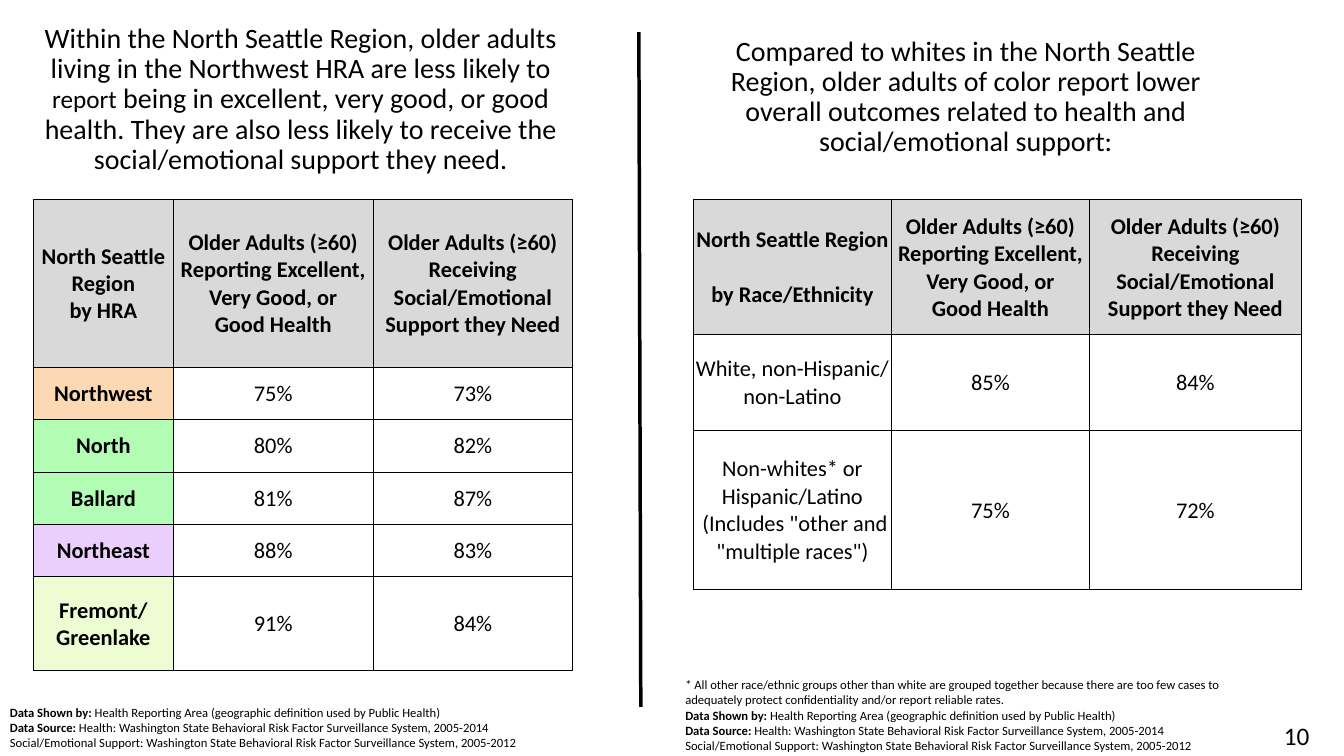
"""Build the slide on health and support of older adults in the North Seattle Region."""
import pptx
import pptx.dml.color
import pptx.enum.shapes
import pptx.enum.text
import pptx.oxml.ns
import pptx.util
from lxml import etree

Cm, Pt, qn = pptx.util.Cm, pptx.util.Pt, pptx.oxml.ns.qn
ALIGN, ANCHOR = pptx.enum.text.PP_ALIGN, pptx.enum.text.MSO_ANCHOR


def color(value):
    """Return the colour for a hex string."""
    return pptx.dml.color.RGBColor.from_string(value)


def write(frame, paragraphs, size, **formats):
    """Fill a text frame; each paragraph is a list of (text, font changes)."""
    frame.word_wrap = True
    for number, spans in enumerate(paragraphs):
        para = frame.paragraphs[0] if number == 0 else frame.add_paragraph()
        for name, value in formats.items():
            setattr(para, name, value)
        for text, changes in spans:
            for index, line in enumerate(text.split("\n")):
                if index:
                    para.add_line_break()
                    line_break = para._p.findall(qn("a:br"))[-1]
                    etree.SubElement(line_break, qn("a:rPr"), sz=str(size * 100))
                span = para.add_run()
                span.text = line
                span.font.color.rgb = color("000000")
                look = {"name": "Calibri", "size": Pt(size), "bold": False} | changes
                for name, value in look.items():
                    setattr(span.font, name, value)


deck = pptx.Presentation()
deck.slide_width, deck.slide_height = Cm(33.87), Cm(19.05)
page = deck.slides.add_slide(deck.slide_layouts[5])
BOLD = {"bold": True}

title = page.shapes.title
title.left, title.top, title.width, title.height = Cm(0.76), Cm(0.48), Cm(13.64), Cm(4.11)
title.text_frame.vertical_anchor = ANCHOR.TOP
title.text_frame.auto_size = pptx.enum.text.MSO_AUTO_SIZE.NONE
write(title.text_frame, [[
    ("Within the North Seattle Region, older adults living in the Northwest HRA "
     "are less likely to ", {}),
    ("report", {"size": Pt(18)}),
    (" being in excellent, very good, or good health. They are also less likely "
     "to receive the social/emotional support they need.", {}),
]], 20, alignment=ALIGN.CENTER, line_spacing=0.9)

race_heading = [[("Compared to whites in the North Seattle Region, older adults of color "
                  "report lower overall outcomes related to health and "
                  "social/emotional support:", {})]]
sources = [
    [("Data Shown by: ", BOLD),
     ("Health Reporting Area (geographic definition used by Public Health)", {})],
    [("Data Source: ", BOLD),
     ("Health: Washington State Behavioral Risk Factor Surveillance System, 2005-2014", {})],
    [("Social/Emotional Support: Washington State Behavioral Risk Factor "
      "Surveillance System, 2005-2012", {})],
]
race_note = [[("* All other race/ethnic groups other than white are grouped together because "
               "there are too few cases to adequately protect confidentiality and/or "
               "report reliable rates.", {})]]
centered = {"alignment": ALIGN.CENTER}
boxes = [
    ((18.08, 0.81, 12.52, 3.68), race_heading, 20, ANCHOR.TOP, centered | {"line_spacing": 0.9}),
    ((0, 17.63, 14.66, 1.42), sources, 9, ANCHOR.TOP, {}),
    ((17.02, 16.94, 14.66, 2.18), race_note + sources, 9, ANCHOR.TOP, {}),
    ((31.5, 18.03, 2.36, 1.02), [[("10", {})]], 18, ANCHOR.BOTTOM, centered),
]
for place, paragraphs, size, anchor, formats in boxes:
    box = page.shapes.add_textbox(*map(Cm, place))
    box.text_frame.vertical_anchor = anchor
    write(box.text_frame, paragraphs, size, **formats)

HEADER = "D9D9D9"
tables = [
    {"left": 0.84, "columns": [3.53, 5.03, 5.03], "rows": [4.22] + [1.32] * 4 + [2.36],
     "label_bold": True, "body": "FFFFFF",
     "labels": [HEADER, "FCD9B3", "B3FCB4", "B3FCB6", "EACFFC", "EDFCD2"],
     "cells": [
         [["North Seattle Region", "by HRA"],
          ["Older Adults (≥60) Reporting Excellent,", "Very Good, or", "Good Health"],
          ["Older Adults (≥60) Receiving Social/Emotional", "Support they Need"]],
         [["Northwest"], ["75%"], ["73%"]],
         [["North"], ["80%"], ["82%"]],
         [["Ballard"], ["81%"], ["87%"]],
         [["Northeast"], ["88%"], ["83%"]],
         [["Fremont/\nGreenlake"], ["91%"], ["84%"]]]},
    {"left": 17.48, "columns": [4.98, 5, 5.33], "rows": [3.4, 2.41, 4.01],
     "label_bold": False, "body": None, "labels": [HEADER, None, None],
     "cells": [
         [["North Seattle Region \nby Race/Ethnicity"],
          ["Older Adults (≥60) Reporting Excellent, Very Good, or", "Good Health"],
          ["Older Adults (≥60) Receiving Social/Emotional Support they Need"]],
         [["White, non-Hispanic/\nnon-Latino"], ["85%"], ["84%"]],
         [['Non-whites* or Hispanic/Latino\n (Includes "other and "multiple races")'],
          ["75%"], ["72%"]]]},
]
for plan in tables:
    columns, rows = plan["columns"], plan["rows"]
    table = page.shapes.add_table(
        len(rows), len(columns), Cm(plan["left"]), Cm(5.03),
        Cm(sum(columns)), Cm(sum(rows))).table
    table.first_row = table.horz_banding = False
    for column, width in zip(table.columns, columns):
        column.width = Cm(width)
    for r, height in enumerate(rows):
        table.rows[r].height = Cm(height)
        for c, lines in enumerate(plan["cells"][r]):
            cell = table.cell(r, c)
            cell_format = {"vertical_anchor": ANCHOR.MIDDLE, "margin_left": Cm(0.03),
                           "margin_right": Cm(0.03), "margin_top": Cm(0.03), "margin_bottom": 0}
            for name, value in cell_format.items():
                setattr(cell, name, value)
            bold = r == 0 or (c == 0 and plan["label_bold"])
            write(cell.text_frame, [[(line, {"bold": bold})] for line in lines], 16, **centered)
            outer = {"L": c == 0, "R": c == len(columns) - 1,
                     "T": r == 0, "B": r == len(rows) - 1}
            for side, is_outer in outer.items():
                border = etree.SubElement(cell._tc.get_or_add_tcPr(), qn("a:ln" + side),
                                          w=str(Pt(1 if is_outer else 0.5)))
                paint = etree.SubElement(border, qn("a:solidFill"))
                etree.SubElement(paint, qn("a:srgbClr"), val="000000")
            shade = HEADER if r == 0 else plan["labels"][r] if c == 0 else plan["body"]
            if shade:
                cell.fill.solid()
                cell.fill.fore_color.rgb = color(shade)
            else:
                cell.fill.background()

divider = page.shapes.add_connector(
    pptx.enum.shapes.MSO_CONNECTOR.STRAIGHT, Cm(16.1), Cm(0.81), Cm(16.15), Cm(17.81))
divider.line.color.rgb = color("000000")
divider.line.width = Pt(2.5)
etree.SubElement(divider._element.spPr, qn("a:effectLst"))

deck.save("out.pptx")
